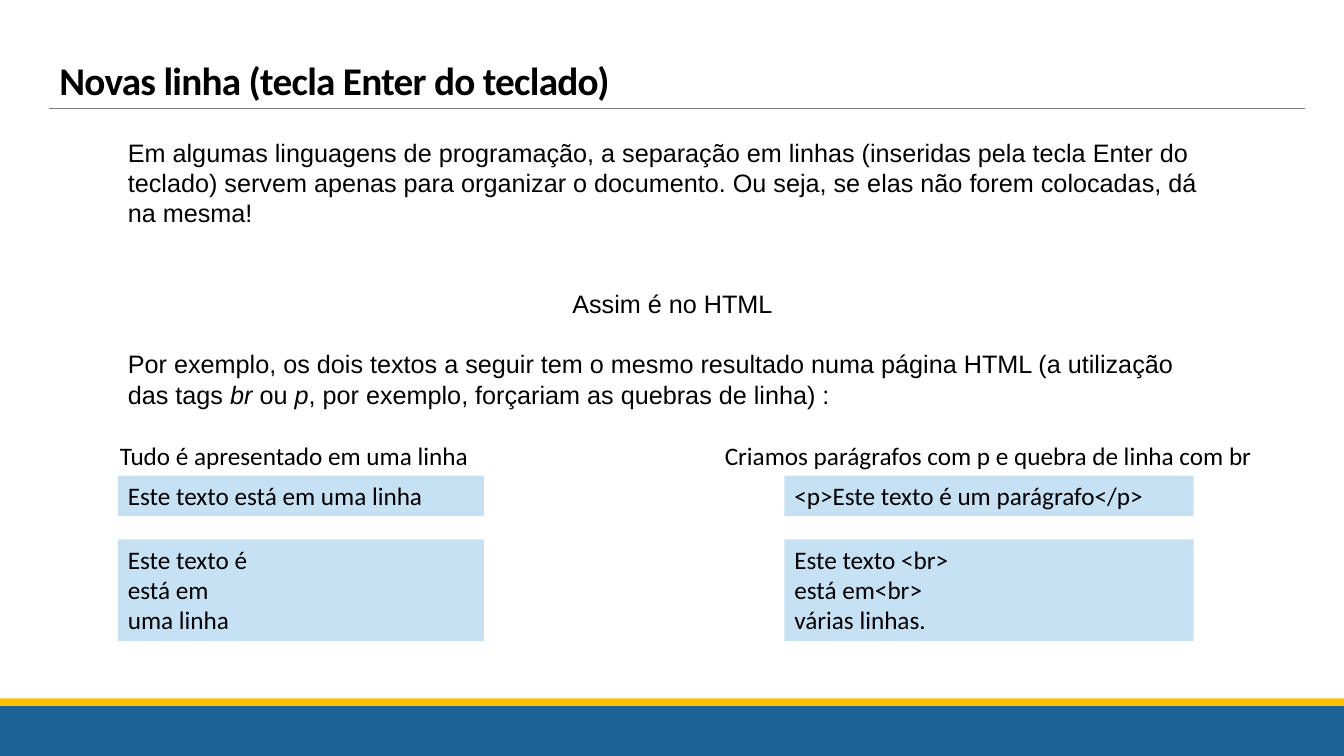
from pptx import Presentation
from pptx.dml.color import RGBColor
from pptx.enum import shapes, text
from pptx.util import Inches, Pt
from lxml import etree

COLORS = {"blue": "1C6294", "gold": "FFC000", "rule": "808080",
          "box": "C7E1F4", "text": "000000"}
LINE_PITCH = 21.6

TITLE = "Novas linha (tecla Enter do teclado)"
# Each paragraph: blank lines above, alignment, runs of (text, italic)
EXPLANATION = [
    (0, text.PP_ALIGN.LEFT, [
        ("Em algumas linguagens de programação, a separação em linhas "
         "(inseridas pela tecla Enter do teclado) servem apenas para organizar "
         "o documento. Ou seja, se elas não forem colocadas, dá na mesma!", False)]),
    (2, text.PP_ALIGN.CENTER, [("Assim é no HTML", False)]),
    (1, text.PP_ALIGN.LEFT, [
        ("Por exemplo, os dois textos a seguir tem o mesmo resultado numa "
         "página HTML (a utilização das tags ", False),
        ("br", True), (" ou ", False), ("p", True),
        (", por exemplo, forçariam as quebras de linha) :", False)]),
]
EXAMPLES = [
    {"label": "Tudo é apresentado em uma linha",
     "label_left": 1.09, "label_width": 3.7, "left": 1.17, "width": 3.63,
     "boxes": ["Este texto está em uma linha",
               "Este texto é\nestá em\numa linha"]},
    {"label": "Criamos parágrafos com p e quebra de linha com br",
     "label_left": 7.09, "label_width": 5.49, "left": 7.78, "width": 4.06,
     "boxes": ["<p>Este texto é um parágrafo</p>",
               "Este texto <br>\nestá em<br>\nvárias linhas."]},
]
LABEL_TOP, LABEL_HEIGHT = 4.32, 0.4
BOX_ROWS = [(4.72, 0.4), (5.35, 1.01)]


def color(name):
    return RGBColor.from_string(COLORS[name])


def style_run(run, font_name="Calibri", size=18, bold=False, italic=False):
    run.font.name = font_name
    run.font.size = Pt(size)
    run.font.bold = bold
    run.font.italic = italic
    run.font.color.rgb = color("text")


def add_text_box(slide, left, top, width, height, wrap=True):
    box = slide.shapes.add_textbox(
        Inches(left), Inches(top), Inches(width), Inches(height))
    box.text_frame.word_wrap = wrap
    return box.text_frame


def add_rectangle(slide, left, top, width, height, fill):
    shape = slide.shapes.add_shape(
        shapes.MSO_SHAPE.RECTANGLE,
        Inches(left), Inches(top), Inches(width), Inches(height))
    shape.shadow.inherit = False
    shape.fill.solid()
    shape.fill.fore_color.rgb = color(fill)
    shape.line.fill.background()
    return shape


def write_plain(frame, content):
    frame.text = content
    for paragraph in frame.paragraphs:
        paragraph.alignment = text.PP_ALIGN.LEFT
        for run in paragraph.runs:
            style_run(run)


def add_frame(slide):
    """Draw the footer bands and the rule under the title."""
    add_rectangle(slide, 0, 7, 13.33, 0.5, "blue")
    add_rectangle(slide, 0, 6.93, 13.33, 0.07, "gold")
    rule = slide.shapes.add_connector(
        shapes.MSO_CONNECTOR.STRAIGHT,
        Inches(0.49), Inches(1.08), Inches(12.94), Inches(1.08))
    rule.line.color.rgb = color("rule")
    rule.line.width = Pt(0.5)
    etree.SubElement(
        rule._element.spPr,
        "{http://schemas.openxmlformats.org/drawingml/2006/main}effectLst")


def add_title(slide):
    frame = add_text_box(slide, 0.49, 0.31, 12.46, 0.77)
    frame.vertical_anchor = text.MSO_ANCHOR.BOTTOM
    frame.text = TITLE
    paragraph = frame.paragraphs[0]
    paragraph.line_spacing = 0.85
    run = paragraph.runs[0]
    style_run(run, size=28, bold=True)
    run._r.get_or_add_rPr().set("spc", "-50")


def add_explanation(slide):
    frame = add_text_box(slide, 1.17, 1.31, 11, 2.83)
    for index, (blank_lines, alignment, runs) in enumerate(EXPLANATION):
        paragraph = frame.add_paragraph() if index else frame.paragraphs[0]
        paragraph.alignment = alignment
        paragraph.line_spacing = Pt(LINE_PITCH)
        if blank_lines:
            paragraph.space_before = Pt(blank_lines * LINE_PITCH)
        for content, italic in runs:
            run = paragraph.add_run()
            run.text = content
            style_run(run, "Arial", italic=italic)


def add_example(slide, example):
    label = add_text_box(slide, example["label_left"], LABEL_TOP,
                         example["label_width"], LABEL_HEIGHT, wrap=False)
    write_plain(label, example["label"])
    for content, (top, height) in zip(example["boxes"], BOX_ROWS):
        box = add_rectangle(slide, example["left"], top,
                            example["width"], height, "box")
        box.text_frame.word_wrap = True
        box.text_frame.vertical_anchor = text.MSO_ANCHOR.TOP
        write_plain(box.text_frame, content)


def main():
    presentation = Presentation()
    presentation.slide_width = Inches(13.33)
    presentation.slide_height = Inches(7.5)
    slide = presentation.slides.add_slide(presentation.slide_layouts[6])
    add_frame(slide)
    add_title(slide)
    add_explanation(slide)
    for example in EXAMPLES:
        add_example(slide, example)
    presentation.save("out.pptx")


if __name__ == "__main__":
    main()
